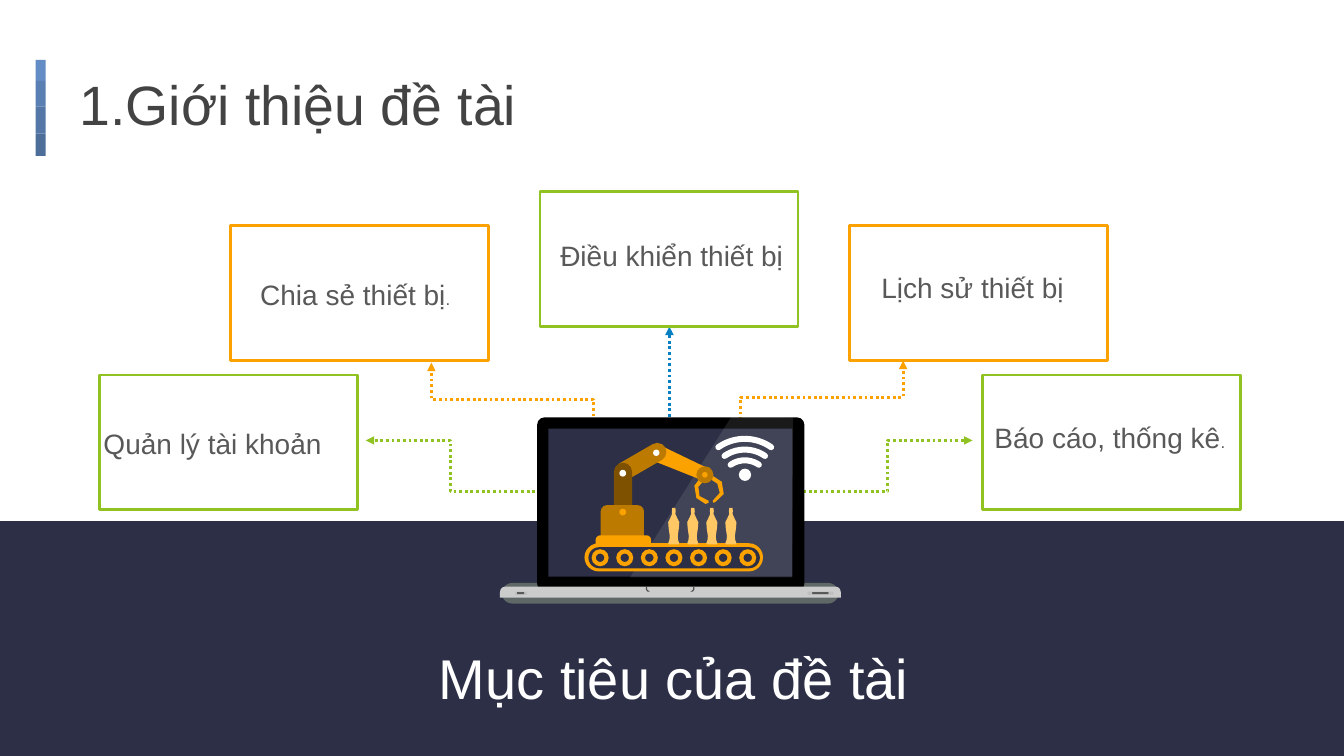
import dataclasses
import typing

import lxml.etree
import pptx
import pptx.dml.color
import pptx.enum.dml
import pptx.enum.shapes
import pptx.enum.text
import pptx.oxml.ns
import pptx.util

Cm = pptx.util.Cm
Pt = pptx.util.Pt
qn = pptx.oxml.ns.qn
Kind = pptx.enum.shapes.MSO_SHAPE
Join = pptx.enum.shapes.MSO_CONNECTOR
Align = pptx.enum.text.PP_ALIGN
Anchor = pptx.enum.text.MSO_ANCHOR
Point = tuple[float, float]
Box = tuple[float, float, float, float]


@dataclasses.dataclass(frozen=True)
class Theme:
    font: str = "Arial"
    white: str = "FFFFFF"
    black: str = "000000"
    navy: str = "2C2F45"
    green: str = "90C221"
    gold: str = "FBA200"
    brown: str = "BC7A00"
    dark: str = "7E5100"
    cream: str = "FFC864"
    blue: str = "0680C3"
    title: str = "434343"
    text: str = "595959"
    under: str = "5F6767"
    base: str = "CCCCCC"
    port: str = "BFBFBF"
    notch: str = "4D4D4D"
    bars: tuple[str, ...] = ("648DC6", "5A7FB3", "5477A7", "4E6E9A")
    head: float = 39.6
    goal: float = 40
    body: float = 20
    small: float = 12
    stroke: float = 2


@dataclasses.dataclass(frozen=True)
class Part:
    kind: Kind
    box: Box
    fill: str
    line: str | None = None
    turn: float = 0
    adj: float | None = None


@dataclasses.dataclass(frozen=True)
class Poly:
    points: list[Point]
    fill: str
    alpha: int = 100


@dataclasses.dataclass(frozen=True)
class Link:
    start: Point
    end: Point
    color: str
    kind: Join = Join.ELBOW
    turn: int = 0
    bend: float = 0.5


@dataclasses.dataclass(frozen=True)
class Label:
    box: Box
    runs: tuple[tuple[str, float], ...]
    color: str
    align: Align = Align.CENTER


def paint(shape: typing.Any, fill: str) -> None:
    shape.shadow.inherit = False
    shape.fill.solid()
    shape.fill.fore_color.rgb = pptx.dml.color.RGBColor.from_string(fill)
    shape.line.fill.background()


def stroke(line: typing.Any, color: str, width: float) -> None:
    line.color.rgb = pptx.dml.color.RGBColor.from_string(color)
    line.width = Pt(width)


def draw_part(shapes: typing.Any, part: Part) -> None:
    shape = shapes.add_shape(part.kind, *map(Cm, part.box))
    paint(shape, part.fill)
    shape.rotation = part.turn
    if part.adj is not None:
        shape.adjustments[0] = part.adj
    if part.line:
        stroke(shape.line, part.line, look.stroke)


def draw_poly(shapes: typing.Any, poly: Poly) -> None:
    first, *rest = [(Cm(x), Cm(y)) for x, y in poly.points]
    form = shapes.build_freeform(*first, scale=1.0)
    shape = form.add_line_segments(rest, close=True).convert_to_shape()
    paint(shape, poly.fill)
    if poly.alpha < 100:
        color = shape._element.spPr.find(qn("a:solidFill"))[0]
        lxml.etree.SubElement(color, qn("a:alpha"), val=str(poly.alpha * 1000))


def draw_link(shapes: typing.Any, link: Link) -> None:
    (ax, ay), (bx, by) = link.start, link.end
    if link.turn:
        mid_x, mid_y = (ax + bx) / 2, (ay + by) / 2
        dx, dy = link.turn * (ax - mid_x), link.turn * (ay - mid_y)
        ax, ay, bx, by = mid_x + dy, mid_y - dx, mid_x - dy, mid_y + dx
    line = shapes.add_connector(link.kind, Cm(ax), Cm(ay), Cm(bx), Cm(by))
    stroke(line.line, link.color, look.stroke)
    line.line.dash_style = pptx.enum.dml.MSO_LINE.ROUND_DOT
    props = line._element.spPr
    lxml.etree.SubElement(props.find(qn("a:ln")), qn("a:tailEnd"), type="triangle")
    lxml.etree.SubElement(props, qn("a:effectLst"))
    if link.turn:
        props.find(qn("a:xfrm")).set("rot", str(link.turn % 4 * 5400000))
    if link.kind == Join.ELBOW:
        guides = props.find(qn("a:prstGeom")).find(qn("a:avLst"))
        rule = f"val {round(link.bend * 100000)}"
        lxml.etree.SubElement(guides, qn("a:gd"), name="adj1", fmla=rule)


def draw_label(shapes: typing.Any, label: Label) -> typing.Any:
    frame = shapes.add_textbox(*map(Cm, label.box)).text_frame
    frame.word_wrap = True
    para = frame.paragraphs[0]
    para.alignment = label.align
    for text, size in label.runs:
        run = para.add_run()
        run.text = text
        run.font.name = look.font
        run.font.size = Pt(size)
        run.font.color.rgb = pptx.dml.color.RGBColor.from_string(label.color)
    return frame


def draw_wave(shapes: typing.Any, mid: Point, reach: float) -> None:
    box = (mid[0] - reach, mid[1] - reach, 2 * reach, 2 * reach)
    wave = shapes.add_shape(Kind.ARC, *map(Cm, box))
    wave.shadow.inherit = False
    wave.fill.background()
    wave.adjustments[0] = 235 * 0.6
    wave.adjustments[1] = 305 * 0.6
    stroke(wave.line, look.white, 4.3)
    wave._element.spPr.find(qn("a:ln")).set("cap", "rnd")


look = Theme()
deck = pptx.Presentation()
deck.slide_width, deck.slide_height = Cm(33.87), Cm(19.05)
shapes = deck.slides.add_slide(deck.slide_layouts[6]).shapes

top = 1.51
for color, tall in zip(look.bars, (0.53, 0.64, 0.69, 0.56)):
    draw_part(shapes, Part(Kind.RECTANGLE, (0.9, top, 0.25, tall), color))
    top += tall

title = draw_label(shapes, Label((1.37, 1.65, 31.34, 2.13), (("1.Giới thiệu đề tài", look.head),), look.title, Align.LEFT))
title.vertical_anchor = Anchor.MIDDLE
title.margin_left = Cm(0.64)
title.paragraphs[0].line_spacing = 0.9

draw_part(shapes, Part(Kind.RECTANGLE, (0, 13.13, 33.87, 5.92), look.navy))
for link in (
    Link((18.67, 11.58), (22.76, 9.09), look.gold, turn=1, bend=0.63),
    Link((14.96, 11.63), (10.87, 9.14), look.gold, turn=-1, bend=0.63),
    Link((16.87, 11.07), (16.87, 8.23), look.blue, Join.STRAIGHT),
    Link((13.49, 12.38), (9.22, 11.1), look.green),
    Link((20.24, 12.38), (24.51, 11.1), look.green),
):
    draw_link(shapes, link)

for left, high, color in (
    (2.51, 9.45, look.green),
    (5.82, 5.69, look.gold),
    (13.61, 4.83, look.green),
    (21.41, 5.69, look.gold),
    (24.77, 9.45, look.green),
):
    draw_part(shapes, Part(Kind.RECTANGLE, (left, high, 6.5, 3.4), look.white, color))

edge = [(16.28, 14.78), (16.31, 14.78), (16.31, 14.86), (16.38, 14.91), (16.32, 14.91), (16.28, 14.86)]
laptop = [
    Part(Kind.ROUNDED_RECTANGLE, (12.65, 14.69, 8.48, 0.52), look.under, adj=0.5),
    Part(Kind.ROUNDED_RECTANGLE, (13.54, 10.52, 6.73, 4.37), look.black, adj=0.04),
    Part(Kind.RECTANGLE, (13.82, 10.8, 6.15, 3.73), look.navy),
    Part(Kind.ROUND_2_SAME_RECTANGLE, (12.6, 14.78, 8.59, 0.28), look.base, adj=0.5),
    Poly(edge, look.notch),
    Poly([(33.78 - x, y) for x, y in edge], look.notch),
    Part(Kind.ROUNDED_RECTANGLE, (12.98, 14.91, 0.3, 0.08), look.port, adj=0.28),
    Part(Kind.ROUNDED_RECTANGLE, (13.03, 14.92, 0.18, 0.05), look.text, adj=0.28),
    Part(Kind.ROUNDED_RECTANGLE, (20.35, 14.91, 0.66, 0.08), look.port, adj=0.28),
    Part(Kind.ROUNDED_RECTANGLE, (20.47, 14.92, 0.41, 0.05), look.text, adj=0.28),
    Poly([(18.44, 10.49), (19.99, 10.52), (19.96, 14.55), (15.88, 14.55)], look.white, 10),
]
robot = [
    Part(Kind.TRAPEZOID, (16.97, 10.97, 0.43, 1.45), look.gold, turn=113.7, adj=0.12),
    Part(Kind.ROUNDED_RECTANGLE, (15.44, 11.4, 1.42, 0.46), look.brown, turn=330, adj=0.5),
    Part(Kind.OVAL, (16.46, 11.33, 0.16, 0.16), look.white),
    Part(Kind.ROUND_2_SAME_RECTANGLE, (15.47, 11.66, 0.46, 1.37), look.dark, adj=0.5),
    Part(Kind.OVAL, (15.61, 11.84, 0.17, 0.17), look.white),
    Poly([(17.96, 11.99), (18.19, 12.14), (18.24, 12.45), (18.03, 12.65), (17.98, 12.67),
          (17.96, 12.62), (18.14, 12.42), (18.08, 12.19), (17.93, 12.09)], look.gold),
    Poly([(17.65, 12.04), (17.5, 12.24), (17.55, 12.55), (17.78, 12.7), (17.86, 12.67),
          (17.86, 12.62), (17.63, 12.5), (17.6, 12.27), (17.73, 12.12)], look.gold),
    Part(Kind.DONUT, (17.55, 11.75, 0.43, 0.43), look.brown, adj=0.33),
    Part(Kind.ROUND_2_SAME_RECTANGLE, (15.14, 12.73, 1.09, 0.86), look.brown, adj=0.18),
    Part(Kind.ROUND_2_SAME_RECTANGLE, (15.01, 13.49, 1.4, 0.23), look.gold, adj=0.5),
    Part(Kind.OVAL, (15.61, 12.82, 0.17, 0.17), look.gold),
    Part(Kind.ROUNDED_RECTANGLE, (14.73, 13.69, 4.5, 0.71), look.gold, adj=0.5),
    Part(Kind.ROUNDED_RECTANGLE, (14.83, 13.79, 4.32, 0.53), look.navy, adj=0.5),
]
wheels = [Part(Kind.DONUT, (14.91 + 0.62 * i, 13.84, 0.43, 0.43), look.gold) for i in range(7)]
side = [(0.04, 12.8), (0.05, 12.88), (0.04, 12.95), (0.09, 13.06), (0.14, 13.16),
        (0.13, 13.3), (0.1, 13.51), (0.11, 13.61), (0.14, 13.69), (0.12, 13.72)]
bottle = side + [(-x, y) for x, y in reversed(side)]
row = [Poly([(16.98 + 0.48 * i + x, y) for x, y in bottle], look.cream) for i in range(4)]
dot = Part(Kind.OVAL, (18.62, 11.81, 0.31, 0.31), look.white)
for item in (*laptop, *robot, *wheels, *row, dot):
    if isinstance(item, Part):
        draw_part(shapes, item)
    else:
        draw_poly(shapes, item)
for i in range(3):
    draw_wave(shapes, (18.77, 12.22), 0.62 + 0.27 * i)

stop = (".", look.small)
for label in (
    Label((1.88, 10.62, 6.48, 1.12), (("Quản lý tài khoản", look.body),), look.text, Align.RIGHT),
    Label((6.2, 6.88, 5.51, 1.12), (("Chia sẻ thiết bị", look.body), stop), look.text),
    Label((13.87, 5.89, 6.12, 1.12), (("Điều khiển thiết bị", look.body),), look.text),
    Label((21.26, 6.68, 6.5, 1.12), (("Lịch sử thiết bị", look.body),), look.text),
    Label((24.77, 10.46, 6.4, 1.12), (("Báo cáo, thống kê", look.body), stop), look.text),
    Label((10.74, 16.08, 12.47, 1.96), (("Mục tiêu của đề tài", look.goal),), look.white),
):
    draw_label(shapes, label)

deck.save("out.pptx")
